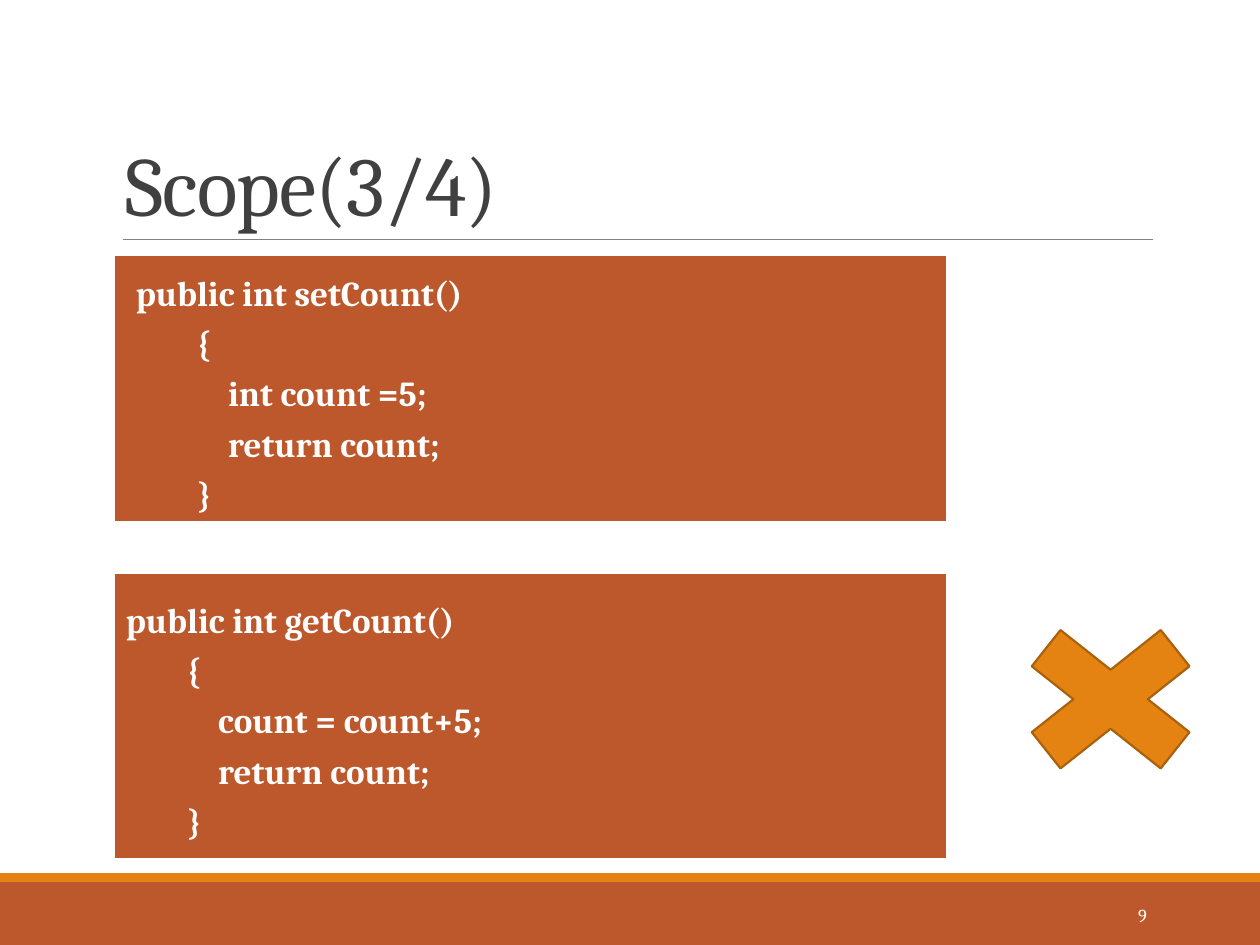
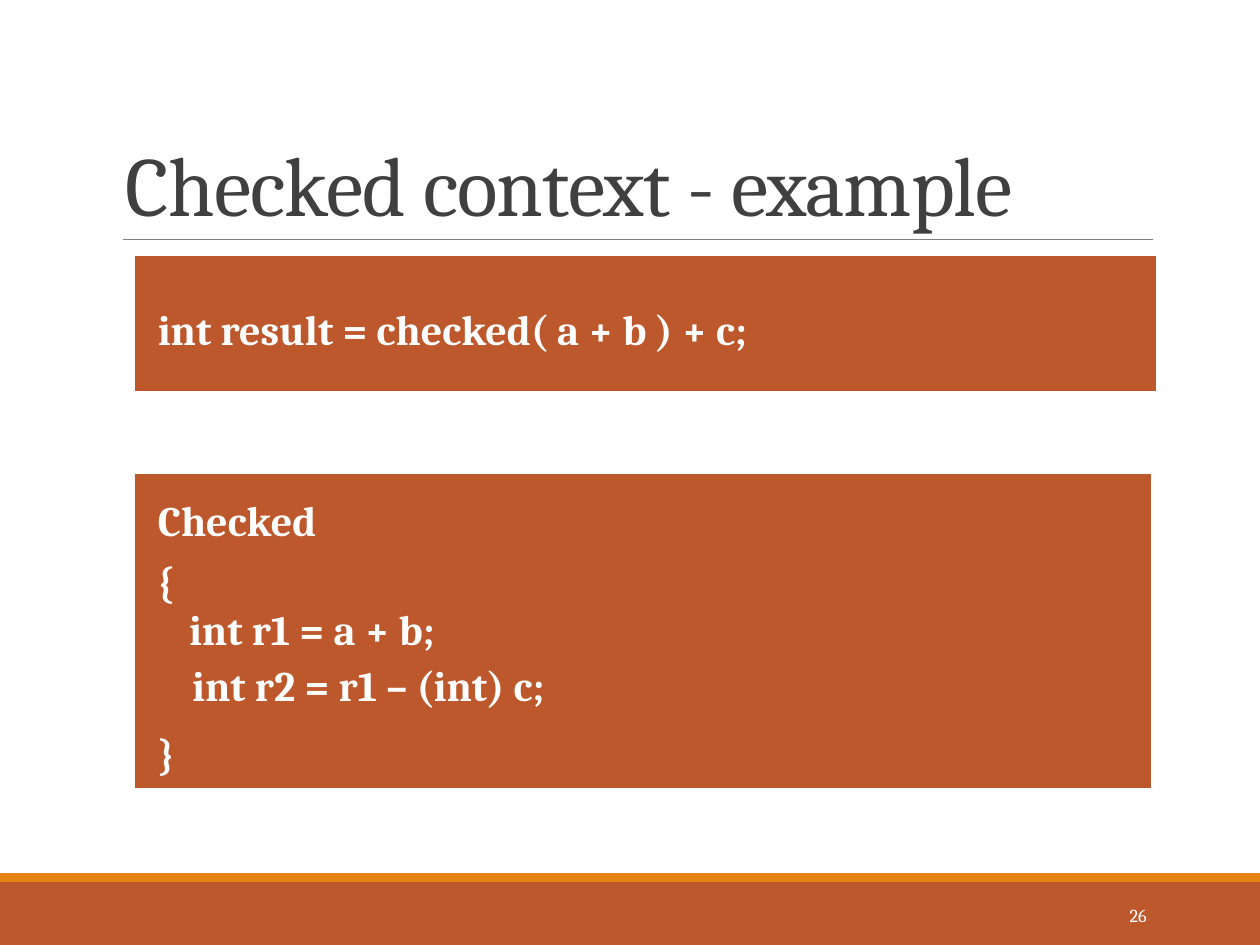
from lxml.etree import SubElement
from pptx import Presentation
from pptx.dml.color import RGBColor
from pptx.enum.shapes import MSO_CONNECTOR, MSO_SHAPE
from pptx.enum.text import MSO_ANCHOR, PP_ALIGN
from pptx.oxml.ns import qn
from pptx.util import Pt

RUST = RGBColor(0xBD, 0x58, 0x2C)
ORANGE = RGBColor(0xE4, 0x83, 0x12)
BROWN = RGBColor(0xA9, 0x61, 0x0D)
GRAY = RGBColor(0x80, 0x80, 0x80)
DARK = RGBColor(0x40, 0x40, 0x40)
WHITE = RGBColor(0xFF, 0xFF, 0xFF)
FONT = "Cambria"

BRACE, BODY = 35.2, 52.8  # indents of the code on the scope slide
NARROW, WIDE = 5.7, 6.84  # offsets of the code from the box margin

# Each slide: title, page number, code boxes.
# Each box: left, top, width, height, font size, offset, code lines.
# Each code line: text, indent, line spacing, space before, space after.
SLIDES = [
    ("Scope(3/4)", "9", [
        (64.8, 145.44, 476.64, 153.36, 20, NARROW, [
            ("public int setCount()", 0, 1.2, 0, 0),
            ("{", BRACE, 1.2, 0, 0),
            ("int count =5;", BODY, 1.2, 0, 0),
            ("return count;", BODY, 1.2, 0, 0),
            ("}", BRACE, 1.2, 0, 0)]),
        (64.8, 326.88, 476.64, 164.16, 20, 0, [
            ("public int getCount()", 0, 1.2, 0, 0),
            ("{", BRACE, 1.2, 0, 0),
            ("count = count+5;", BODY, 1.2, 0, 0),
            ("return count;", BODY, 1.2, 0, 0),
            ("}", BRACE, 1.2, 0, 0)]),
    ]),
    ("Checked context - example", "26", [
        (76.32, 145.44, 585.36, 79.2, 24, WIDE, [
            ("int result = checked( a + b ) + c;", 0, 1.2, 0, 0)]),
        (76.32, 270, 582.48, 181.44, 24, WIDE, [
            ("Checked", 0, 1.2, 0, 0),
            ("{", 0, 1.2, 0, 0),
            ("int r1 = a + b;", 17.8, 0.9, 2, 4),
            ("int r2 = r1 – (int) c;", 19.56, 0.9, 2, 4),
            ("}", 0, 1.2, 0, 0)]),
    ]),
]


def add_block(slide, kind, left, top, width, height, fill, line=None, line_width=0):
    """Add a flat preset shape, with an outline if a line colour is given."""
    shape = slide.shapes.add_shape(kind, Pt(left), Pt(top), Pt(width), Pt(height))
    shape.shadow.inherit = False
    shape.fill.solid()
    shape.fill.fore_color.rgb = fill
    if line is None:
        shape.line.fill.background()
    else:
        shape.line.color.rgb = line
        shape.line.width = Pt(line_width)
    return shape


def add_text(paragraph, text, size, color, bold=False):
    """Add one run in the deck font and return it."""
    run = paragraph.add_run()
    run.text = text
    run.font.name = FONT
    run.font.size = Pt(size)
    run.font.bold = bold
    run.font.color.rgb = color
    return run


presentation = Presentation()
presentation.slide_width = Pt(720)
presentation.slide_height = Pt(540)

for title, number, boxes in SLIDES:
    slide = presentation.slides.add_slide(presentation.slide_layouts[6])

    # Footer bands and title rule
    add_block(slide, MSO_SHAPE.RECTANGLE, 0, 504, 720, 36, RUST)
    add_block(slide, MSO_SHAPE.RECTANGLE, 0, 499, 720, 5, ORANGE)
    rule = slide.shapes.add_connector(
        MSO_CONNECTOR.STRAIGHT, Pt(70.5), Pt(136.8), Pt(658.8), Pt(136.8))
    rule.line.color.rgb = GRAY
    rule.line.width = Pt(0.5)
    SubElement(rule._element.spPr, qn("a:effectLst"))

    # Title
    title_frame = slide.shapes.add_textbox(
        Pt(64.8), Pt(22.3), Pt(594), Pt(114.5)).text_frame
    title_frame.word_wrap = True
    title_frame.vertical_anchor = MSO_ANCHOR.BOTTOM
    title_frame.paragraphs[0].line_spacing = 0.85
    title_run = add_text(title_frame.paragraphs[0], title, 48, DARK)
    title_run.font._element.set("spc", "-50")

    # Page number
    number_frame = slide.shapes.add_textbox(
        Pt(584.64), Pt(508.3), Pt(77.76), Pt(28.8)).text_frame
    number_frame.word_wrap = True
    number_frame.vertical_anchor = MSO_ANCHOR.MIDDLE
    number_frame.paragraphs[0].alignment = PP_ALIGN.RIGHT
    add_text(number_frame.paragraphs[0], number, 10.5, WHITE)

    # Code boxes
    for left, top, width, height, size, offset, lines in boxes:
        box = add_block(slide, MSO_SHAPE.RECTANGLE, left, top, width, height,
                        RUST, WHITE, 2)
        frame = box.text_frame
        frame.word_wrap = True
        frame.vertical_anchor = MSO_ANCHOR.MIDDLE
        for index, (text, indent, spacing, before, after) in enumerate(lines):
            paragraph = frame.add_paragraph() if index else frame.paragraphs[0]
            paragraph.alignment = PP_ALIGN.LEFT
            paragraph.line_spacing = spacing
            paragraph.space_before = Pt(before)
            paragraph.space_after = Pt(after)
            paragraph._p.get_or_add_pPr().set("marL", str(Pt(offset + indent)))
            add_text(paragraph, text, size, WHITE, bold=True)

# Cross beside the code that fails on the scope slide
add_block(presentation.slides[0], MSO_SHAPE.MATH_MULTIPLY,
          563.76, 343.44, 141.84, 112.32, ORANGE, BROWN, 1.25)

presentation.save("out.pptx")
